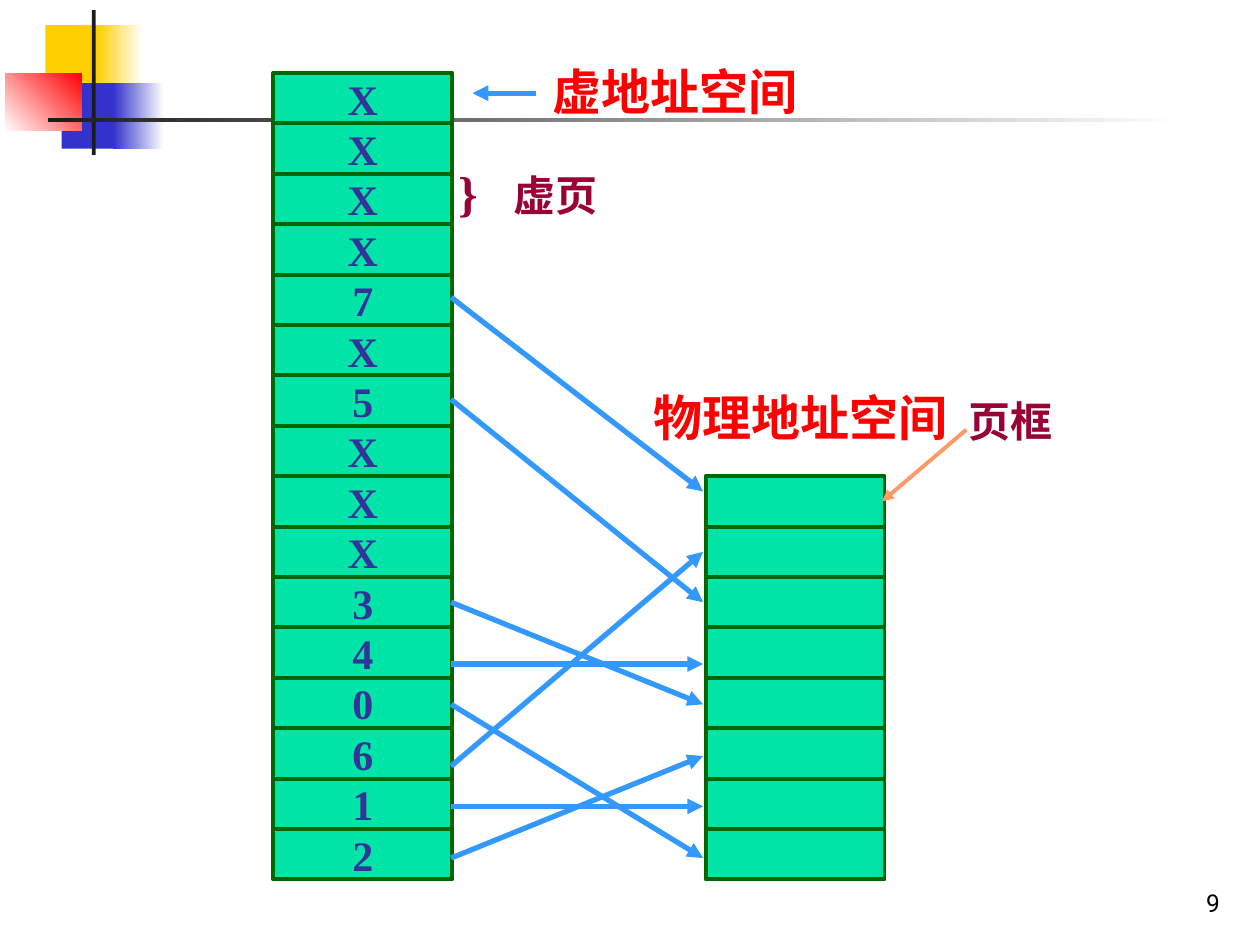
"""Build a slide that maps virtual pages to physical page frames."""
import pptx
import pptx.dml.color
import pptx.enum.shapes
import pptx.enum.text
import pptx.oxml
import pptx.oxml.ns
import pptx.util

Inches, Pt = pptx.util.Inches, pptx.util.Pt
RGB = pptx.dml.color.RGBColor.from_string
ALIGN, ANCHOR = pptx.enum.text.PP_ALIGN, pptx.enum.text.MSO_ANCHOR
RECT = pptx.enum.shapes.MSO_SHAPE.RECTANGLE
STRAIGHT = pptx.enum.shapes.MSO_CONNECTOR.STRAIGHT
NS = pptx.oxml.ns.nsdecls("a")

THEME = {
    "yellow": "FFCF01", "blue": "3333CC", "red": "FF0000", "white": "FFFFFF",
    "ink": "1C1C1C", "black": "000000", "cell": "00E4A8", "border": "006600",
    "entry": "333399", "label": "990033", "arrow": "3399FF", "pointer": "FF9966",
    "font": "Times New Roman", "number_font": "Roboto",
    "heading_size": 28, "body_size": 24, "number_size": 14,
}


def add_text(sp, *runs, size=THEME["body_size"], color=THEME["label"], font=THEME["font"],
             bold=True, align=ALIGN.LEFT, anchor=ANCHOR.TOP, wrap=True, tab=None):
    tf = sp.text_frame
    tf.word_wrap, tf.vertical_anchor = wrap, anchor
    p = tf.paragraphs[0]
    p.alignment = align
    if tab:
        p._p.get_or_add_pPr().append(pptx.oxml.parse_xml(
            f'<a:tabLst {NS}><a:tab pos="{Inches(tab)}" algn="l"/></a:tabLst>'))
    for words, run_size in runs:
        r = p.add_run()
        r.text = words
        r.font.name, r.font.size, r.font.bold = font, Pt(run_size or size), bold
        r.font.color.rgb = RGB(color)


def add_rect(at, color, end=None, angle=0, border=None):
    sp = s.shapes.add_shape(RECT, *map(Inches, at))
    sp.shadow.inherit = False
    if end:
        sp.fill.gradient()
        sp.fill.gradient_angle = angle
        for stop, stop_color in zip(sp.fill.gradient_stops, (color, end)):
            stop.color.rgb = RGB(stop_color)
    else:
        sp.fill.solid()
        sp.fill.fore_color.rgb = RGB(color)
    if border:
        sp.line.color.rgb, sp.line.width = RGB(border), Pt(2.25)
    else:
        sp.line.fill.background()
    return sp


prs = pptx.Presentation()
prs.slide_width, prs.slide_height = Inches(10), Inches(7.5)
s = prs.slides.add_slide(prs.slide_layouts[6])

for at, color, end, angle in [
    ((0.36, 0.2, 0.48, 0.52), "yellow", None, 0),
    ((0.77, 0.2, 0.36, 0.52), "yellow", "white", 0),
    ((0.49, 0.66, 0.46, 0.52), "blue", None, 0),
    ((0.9, 0.66, 0.4, 0.52), "blue", "white", 0),
    ((0.04, 0.58, 0.61, 0.46), "white", "red", 45),
    ((0.73, 0.08, 0.03, 1.15), "ink", None, 0),
    ((0.38, 0.94, 9, 0.03), "ink", "white", 0),
]:
    add_rect(at, THEME[color], end and THEME[end], angle)

number = s.shapes.add_textbox(Inches(7.7), Inches(6.83), Inches(2.08), Inches(0.5))
add_text(number, ("9", None), size=THEME["number_size"], color=THEME["black"],
         font=THEME["number_font"], bold=False, align=ALIGN.RIGHT, anchor=ANCHOR.BOTTOM)

cell_w, cell_h = 1.42, 0.4
for i, entry in enumerate("XXXX7X5XXX340612"):
    page = add_rect((2.17, 0.58 + i * cell_h, cell_w, cell_h), THEME["cell"],
                    border=THEME["border"])
    add_text(page, (entry, None), color=THEME["entry"], align=ALIGN.CENTER,
             anchor=ANCHOR.MIDDLE, wrap=False)
for i in range(8):
    add_rect((5.6, 3.78 + i * cell_h, cell_w, cell_h), THEME["cell"],
             border=THEME["border"])

heading = {"size": THEME["heading_size"], "color": THEME["red"]}
for at, runs, style in [
    ((4.29, 0.44, 2.3, 0.57), [("虚地址空间", None)], heading),
    ((5.09, 3.03, 2.7, 0.57), [("物理地址空间", None)], heading),
    ((3.54, 1.24, 1.5, 0.57), [("}\t", THEME["heading_size"]), ("虚页", None)], {"tab": 0.44}),
    ((7.59, 3.09, 1.1, 0.5), [("页框", None)], {}),
]:
    add_text(s.shapes.add_textbox(*map(Inches, at)), *runs, **style)

mappings = [(2.36, 3.9), (3.17, 4.78), (4.78, 5.59), (5.27, 5.27),
            (5.59, 6.81), (6.4, 6.4), (6.81, 6), (6.08, 4.38)]
arrows = [((3.58, y1, 5.58, y2), "arrow", 3) for y1, y2 in mappings]
arrows += [((4.25, 0.74, 3.75, 0.74), "arrow", 3), ((7.67, 3.41, 7, 3.98), "pointer", 2.25)]
for ends, color, width in arrows:
    cx = s.shapes.add_connector(STRAIGHT, *map(Inches, ends))
    cx.line.color.rgb, cx.line.width = RGB(THEME[color]), Pt(width)
    cx.line._get_or_add_ln().append(pptx.oxml.parse_xml(f'<a:tailEnd {NS} type="triangle"/>'))
    cx._element.spPr.append(pptx.oxml.parse_xml(f"<a:effectLst {NS}/>"))

prs.save("out.pptx")
